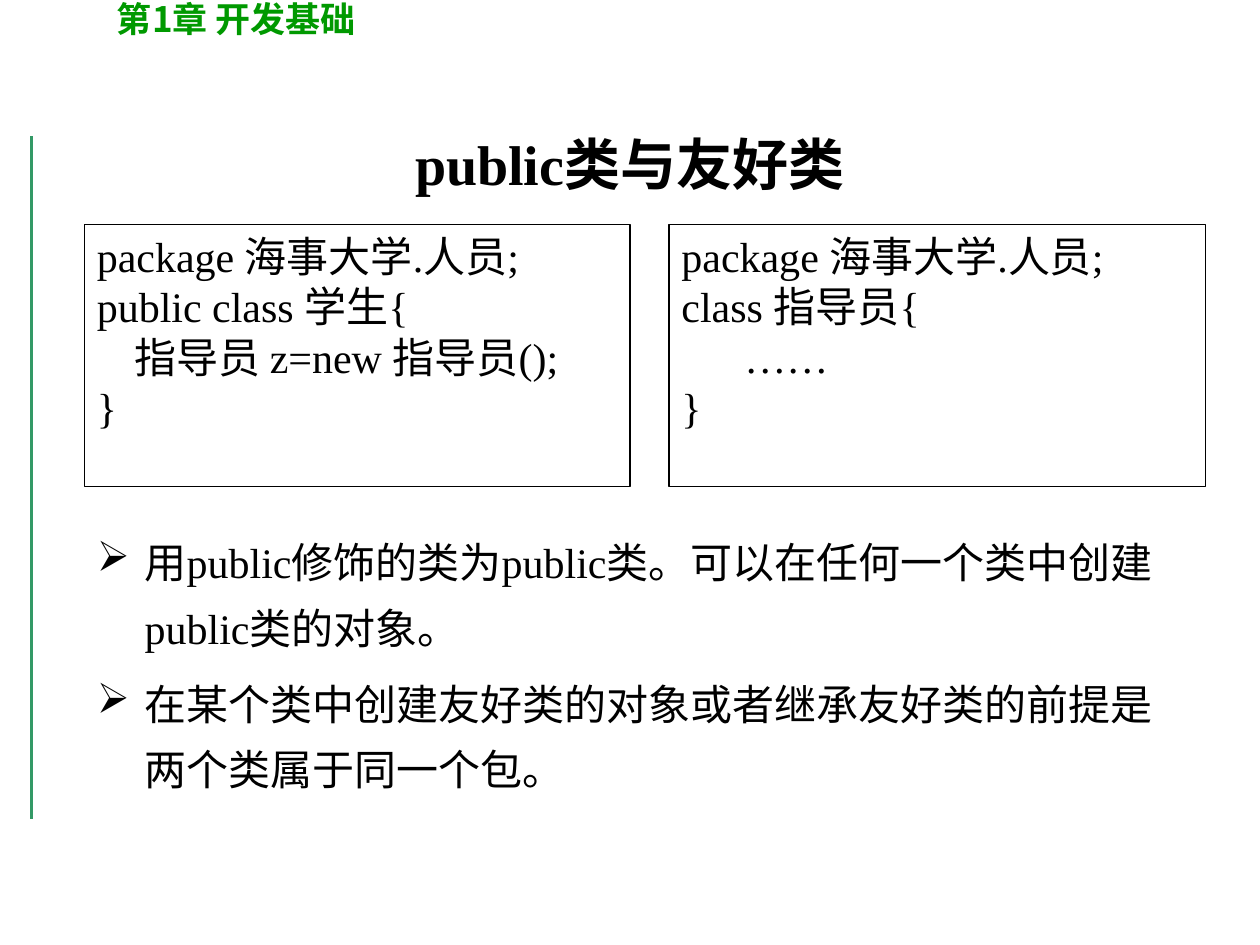
from lxml.etree import SubElement
from pptx import Presentation
from pptx.dml.color import RGBColor
from pptx.enum.shapes import MSO_CONNECTOR, MSO_SHAPE
from pptx.enum.text import MSO_ANCHOR, PP_ALIGN
from pptx.oxml.ns import qn
from pptx.util import Inches, Pt

SERIF = "Times New Roman"
HAN = "Noto Sans CJK SC"


def color(code):
    return RGBColor.from_string(code)


def add_bullet(para, mark):
    props = para._p.get_or_add_pPr()
    props.set("marL", str(Inches(0.38)))
    props.set("indent", str(-Inches(0.38)))
    bullet_color = SubElement(props, qn("a:buClr"))
    SubElement(bullet_color, qn("a:srgbClr")).set("val", "000000")
    SubElement(props, qn("a:buChar")).set("char", mark)


def write(shape, lines, size=24, font=SERIF, fill="000000", bold=False,
          align=PP_ALIGN.LEFT, anchor=MSO_ANCHOR.TOP, bullet=None,
          spacing=None, before=0):
    frame = shape.text_frame
    frame.word_wrap = True
    frame.vertical_anchor = anchor
    for index, line in enumerate(lines):
        para = frame.add_paragraph() if index else frame.paragraphs[0]
        para.alignment = align
        para.space_before = Pt(before if index else 0)
        if spacing:
            para.line_spacing = spacing
        if bullet:
            add_bullet(para, bullet)
        span = para.add_run()
        span.text = line
        span.font.size = Pt(size)
        span.font.bold = bold
        span.font.color.rgb = color(fill)
        span.font.name = font
        SubElement(span.font._element, qn("a:ea")).set("typeface", HAN)


def add_side_line(page, x, top, bottom):
    line = page.shapes.add_connector(
        MSO_CONNECTOR.STRAIGHT, Inches(x), Inches(top), Inches(x), Inches(bottom))
    line.line.color.rgb = color("339966")
    line.line.width = Pt(2.25)
    SubElement(line._element.spPr, qn("a:effectLst"))


def add_chapter(page, box):
    label = page.shapes.add_textbox(*map(Inches, box))
    write(label, ["第1章 开发基础"], size=20, font=HAN, fill="009900", bold=True)


def place_title(page, box):
    title = page.shapes.title
    title.left, title.top, title.width, title.height = map(Inches, box)
    write(title, ["public类与友好类"], size=32, bold=True,
          align=PP_ALIGN.CENTER, anchor=MSO_ANCHOR.MIDDLE)


def add_code(page, box, lines):
    panel = page.shapes.add_shape(MSO_SHAPE.RECTANGLE, *map(Inches, box))
    panel.shadow.inherit = False
    panel.fill.background()
    panel.line.color.rgb = color("000000")
    panel.line.width = Pt(0.75)
    write(panel, lines)


def add_notes_list(page, box, items):
    body = page.shapes.add_textbox(*map(Inches, box))
    write(body, items, bullet="➢", spacing=1.3, before=6)


def main():
    deck = Presentation()
    deck.slide_width, deck.slide_height = Inches(10), Inches(7.5)
    page = deck.slides.add_slide(deck.slide_layouts[5])

    # Frame of the course slides
    add_side_line(page, 0.25, 1.08, 6.5)
    add_chapter(page, (0.83, -0.07, 5.75, 0.44))

    # Title
    place_title(page, (0.75, 0.67, 8.5, 1.25))

    # Two code samples side by side
    add_code(page, (0.67, 1.78, 4.33, 2.08), [
        "package 海事大学.人员;",
        "public class 学生{",
        "    指导员 z=new 指导员();",
        "}",
    ])
    add_code(page, (5.31, 1.78, 4.26, 2.08), [
        "package 海事大学.人员;",
        "class 指导员{",
        "      ……",
        "}",
    ])

    # Explanation
    add_notes_list(page, (0.67, 4.09, 8.9, 2.26), [
        "用public修饰的类为public类。可以在任何一个类中创建public类的对象。",
        "在某个类中创建友好类的对象或者继承友好类的前提是两个类属于同一个包。",
    ])

    deck.save("out.pptx")


if __name__ == "__main__":
    main()
